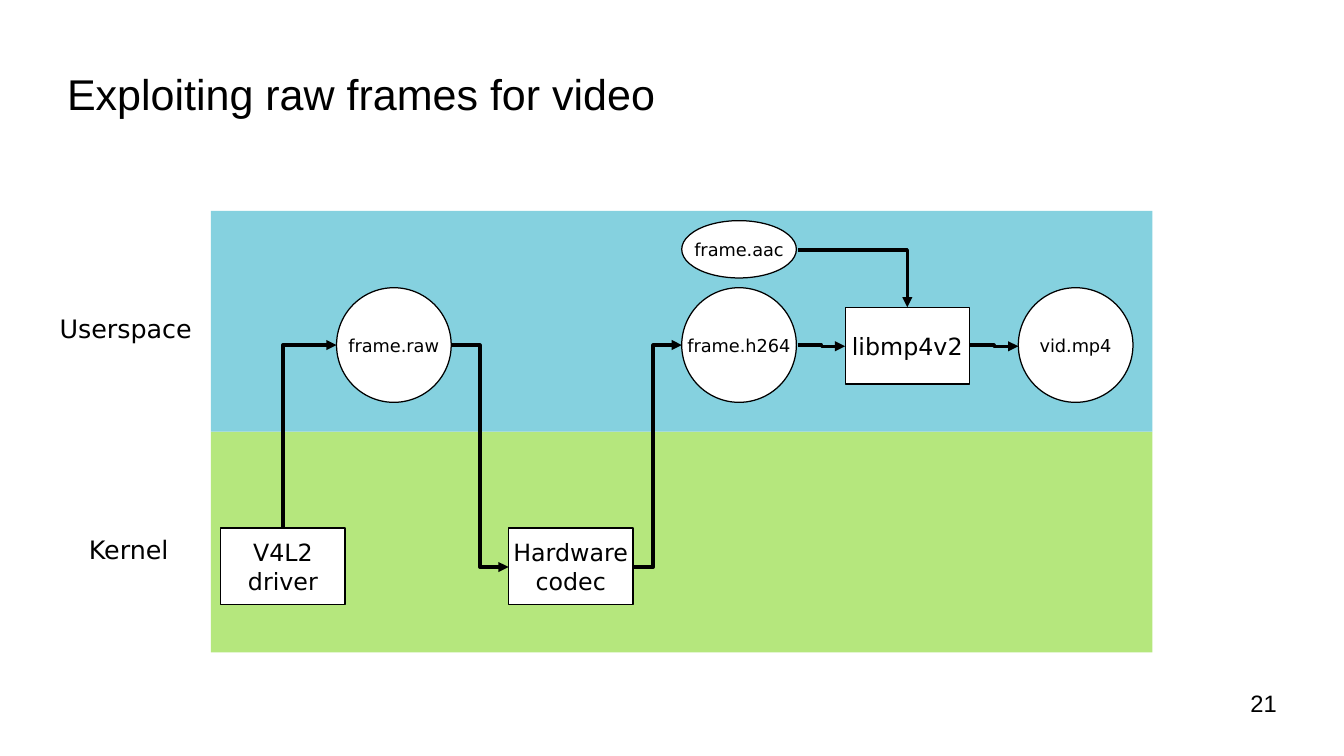
from lxml import etree
from pptx import Presentation
from pptx.dml.color import RGBColor
from pptx.enum.shapes import MSO_CONNECTOR, MSO_SHAPE
from pptx.enum.text import MSO_ANCHOR, PP_ALIGN
from pptx.oxml.ns import qn
from pptx.util import Inches, Pt

RECTANGLE, ELLIPSE = MSO_SHAPE.RECTANGLE, MSO_SHAPE.OVAL
ELBOW = MSO_CONNECTOR.ELBOW
LEFT, CENTER, RIGHT = PP_ALIGN.LEFT, PP_ALIGN.CENTER, PP_ALIGN.RIGHT
TOP, MIDDLE = MSO_ANCHOR.TOP, MSO_ANCHOR.MIDDLE

COLORS = {
    "ink": "000000",
    "node": "FFFFFF",
    "userspace": "85D1DF",
    "kernel": "B5E77D",
}


def write_text(shape, lines, font_name, size, alignment, anchor):
    """Put one paragraph per line into the shape."""
    frame = shape.text_frame
    frame.vertical_anchor = anchor
    for index, line in enumerate(lines):
        paragraph = frame.add_paragraph() if index else frame.paragraphs[0]
        paragraph.alignment = alignment
        run = paragraph.add_run()
        run.text = line
        run.font.name = font_name
        run.font.size = Pt(size)
        run.font.color.rgb = RGBColor.from_string(COLORS["ink"])


presentation = Presentation()
presentation.slide_width = Inches(11.02)
presentation.slide_height = Inches(6.2)
slide = presentation.slides.add_slide(presentation.slide_layouts[6])
shapes = slide.shapes

# Layer bands
for layer, top in [("kernel", 3.54), ("userspace", 1.73)]:
    band = shapes.add_shape(
        RECTANGLE, Inches(1.73), Inches(top), Inches(7.72), Inches(1.81))
    band.shadow.inherit = False
    band.fill.solid()
    band.fill.fore_color.rgb = RGBColor.from_string(COLORS[layer])
    band.line.fill.background()

# Title, layer labels and page number
labels = [
    ("Exploiting raw frames for video", 0.55, 0.47, 7.87, 0.59,
     "Arial", 25.4, LEFT, MIDDLE, (0, 0)),
    ("Userspace", 0.39, 2.52, 1.5, 0.68,
     "DejaVu Sans", 15, LEFT, TOP, (0.1, 0.05)),
    ("Kernel", 0.63, 4.33, 0.94, 0.34,
     "DejaVu Sans", 15, LEFT, TOP, (0.1, 0.05)),
    ("21", 7.9, 5.65, 2.57, 0.43,
     "Arial", 14, RIGHT, TOP, (0, 0)),
]
for text, left, top, width, height, font_name, size, alignment, anchor, inset in labels:
    label = shapes.add_textbox(
        Inches(left), Inches(top), Inches(width), Inches(height))
    frame = label.text_frame
    frame.word_wrap = True
    frame.margin_left = frame.margin_right = Inches(inset[0])
    frame.margin_top = frame.margin_bottom = Inches(inset[1])
    write_text(label, [text], font_name, size, alignment, anchor)

# Processing steps are rectangles, files are ellipses
nodes = [
    (["V4L2", "driver"], RECTANGLE, 1.81, 4.33, 1.02, 0.63),
    (["Hardware", "codec"], RECTANGLE, 4.17, 4.33, 1.02, 0.63),
    (["libmp4v2"], RECTANGLE, 6.93, 2.52, 1.02, 0.63),
    (["frame.raw"], ELLIPSE, 2.76, 2.36, 0.94, 0.94),
    (["frame.h264"], ELLIPSE, 5.59, 2.36, 0.94, 0.94),
    (["vid.mp4"], ELLIPSE, 8.35, 2.36, 0.94, 0.94),
    (["frame.aac"], ELLIPSE, 5.59, 1.81, 0.94, 0.47),
]
for lines, kind, left, top, width, height in nodes:
    node = shapes.add_shape(
        kind, Inches(left), Inches(top), Inches(width), Inches(height))
    node.shadow.inherit = False
    node.fill.solid()
    node.fill.fore_color.rgb = RGBColor.from_string(COLORS["node"])
    node.line.color.rgb = RGBColor.from_string(COLORS["ink"])
    node.line.width = Pt(0)
    node.text_frame.word_wrap = False
    size = 14 if kind == RECTANGLE else 10.5
    write_text(node, lines, "DejaVu Sans", size, CENTER, MIDDLE)

# Arrows: start, end, arrowhead end, share of the width before the bend
# (None: a single corner, horizontal part first)
arrows = [
    ((2.76, 2.83), (2.32, 4.33), "headEnd", None),
    ((3.7, 2.83), (4.17, 4.65), "tailEnd", 0.5),
    ((5.2, 4.65), (5.59, 2.83), "tailEnd", 0.4),
    ((6.54, 2.83), (6.93, 2.84), "tailEnd", 0.5),
    ((7.95, 2.83), (8.35, 2.84), "tailEnd", 0.5),
    ((6.54, 2.05), (7.44, 2.52), "tailEnd", None),
]
for start, end, head, bend in arrows:
    arrow = shapes.add_connector(
        ELBOW, *(Inches(value) for value in start + end))
    arrow.line.color.rgb = RGBColor.from_string(COLORS["ink"])
    arrow.line.width = Pt(0)
    properties = arrow.element.spPr
    geometry = properties.find(qn("a:prstGeom"))
    if bend is None:
        geometry.set("prst", "bentConnector2")
    else:
        guide = etree.SubElement(geometry.find(qn("a:avLst")), qn("a:gd"))
        guide.set("name", "adj1")
        guide.set("fmla", f"val {round(bend * 100000)}")
    line = properties.find(qn("a:ln"))
    etree.SubElement(line, qn(f"a:{head}")).set("type", "triangle")
    etree.SubElement(properties, qn("a:effectLst"))

presentation.save("out.pptx")
